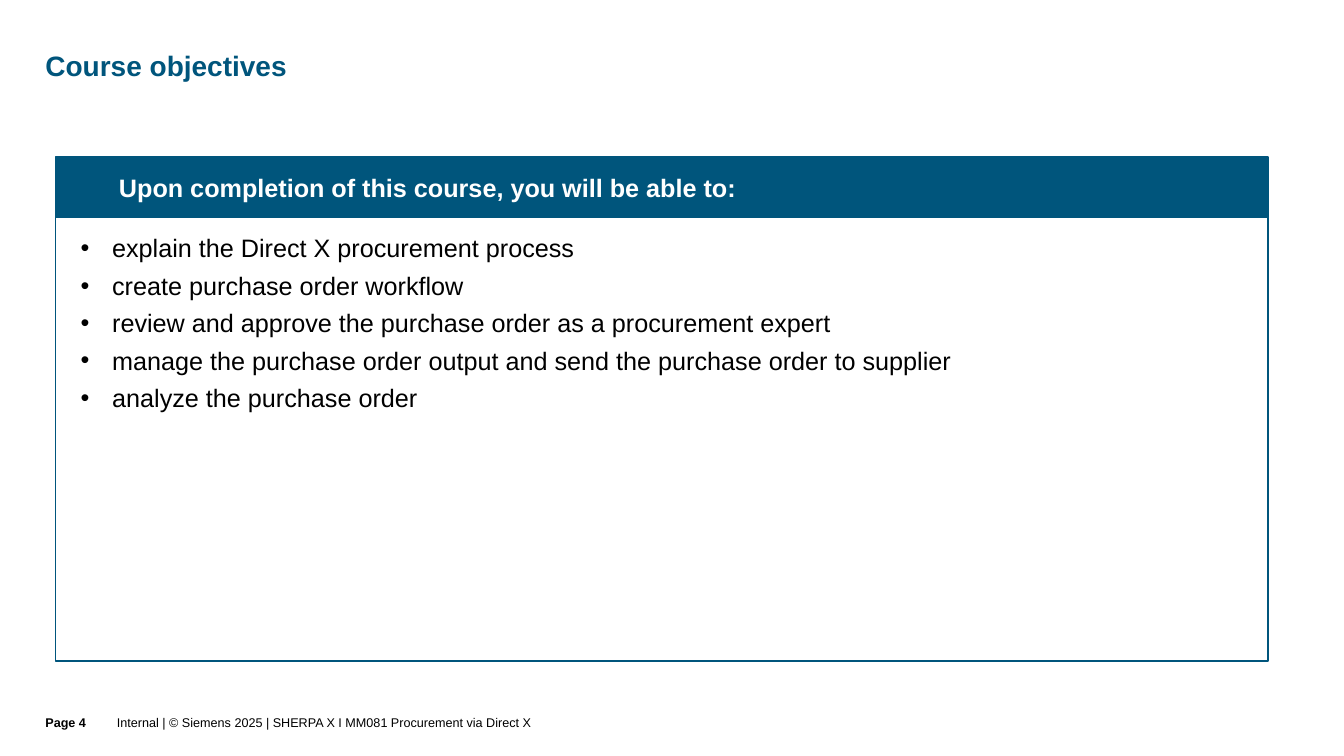
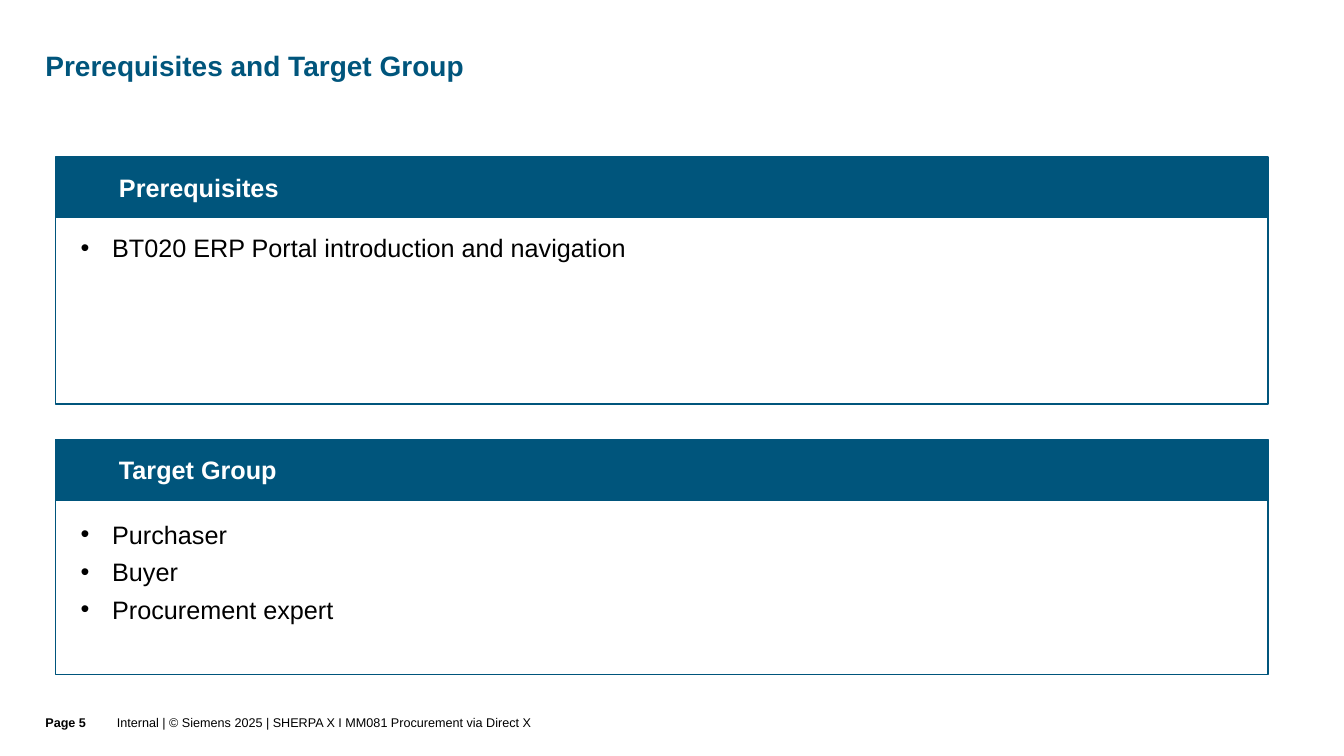
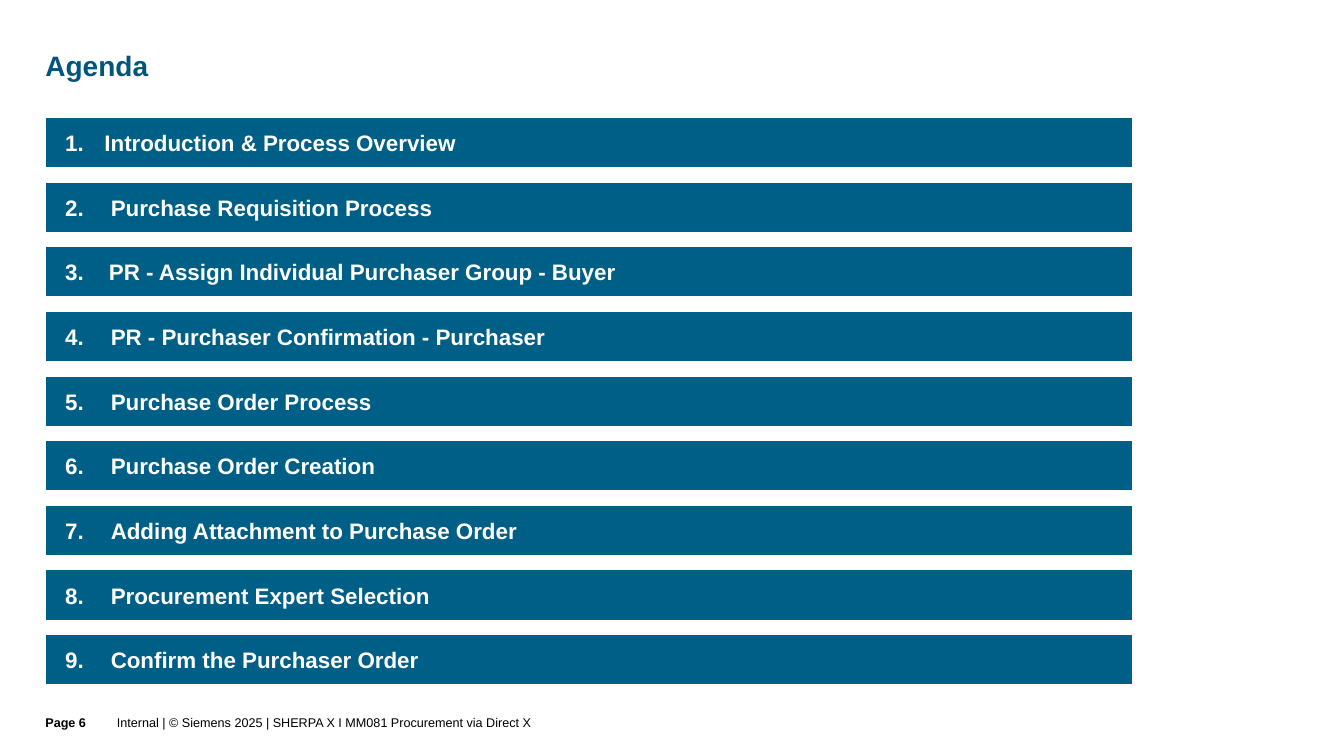
"""Build the course objectives, target group and agenda slides."""
import dataclasses
import typing

import lxml.etree
import pptx
import pptx.dml.color
import pptx.enum.shapes
import pptx.enum.text
import pptx.oxml.ns
import pptx.shapes.autoshape
import pptx.slide
import pptx.text.text
import pptx.util

FONT = "Arial"
PETROL = "00557C"
BAR_PETROL = "005F87"
WHITE = "FFFFFF"
BLACK = "000000"
FOOTER = "Internal | © Siemens 2025 | SHERPA X I MM081 Procurement via Direct X"

MARGIN = 32.4
CONTENT_WIDTH = 776.9
PANEL_LEFT = 39.6
PANEL_WIDTH = 866.2
BAND_HEIGHT = 43.2
BULLET_INDENT = 22.5
BAR_TOP = 83.5
BAR_HEIGHT = 36.7
BAR_PITCH = 46.17


class Box(typing.NamedTuple):
    left: float
    top: float
    width: float
    height: float


class Insets(typing.NamedTuple):
    left: float = 0
    top: float = 0
    right: float = 0
    bottom: float = 0


class Style(typing.NamedTuple):
    size: float
    color: str
    bold: bool = False


TITLE = Style(20, PETROL, True)
HEADING = Style(18, WHITE, True)
BULLET = Style(18, BLACK)
AGENDA = Style(16, WHITE, True)
PAGE = Style(9, BLACK, True)
NOTE = Style(9, BLACK)


@dataclasses.dataclass(frozen=True)
class Panel:
    heading: str
    bullets: tuple[str, ...]
    top: float
    body_height: float
    bullet_offset: float = 8.6


@dataclasses.dataclass(frozen=True)
class Topic:
    name: str
    indent: float = 32.5


OBJECTIVES = Panel(
    "Upon completion of this course, you will be able to:",
    (
        "explain the Direct X procurement process",
        "create purchase order workflow",
        "review and approve the purchase order as a procurement expert",
        "manage the purchase order output and send the purchase order to supplier",
        "analyze the purchase order",
    ),
    112.3,
    316.8,
)
PREREQUISITES = Panel(
    "Prerequisites", ("BT020 ERP Portal introduction and navigation",), 112.3, 133.2
)
TARGET_GROUP = Panel(
    "Target Group", ("Purchaser", "Buyer", "Procurement expert"), 313.9, 124.6, 11.5
)
TOPICS = (
    Topic("Introduction & Process Overview", 28),
    Topic("Purchase Requisition Process"),
    Topic("PR - Assign Individual Purchaser Group - Buyer", 31.2),
    Topic("PR - Purchaser Confirmation - Purchaser"),
    Topic("Purchase Order Process"),
    Topic("Purchase Order Creation"),
    Topic("Adding Attachment to Purchase Order"),
    Topic("Procurement Expert Selection"),
    Topic("Confirm the Purchaser Order"),
)


def rgb(color: str) -> pptx.dml.color.RGBColor:
    return pptx.dml.color.RGBColor.from_string(color)


def place(box: Box) -> list[pptx.util.Length]:
    return [pptx.util.Pt(length) for length in box]


def set_frame(frame: pptx.text.text.TextFrame, insets: Insets, middle: bool) -> None:
    anchors = pptx.enum.text.MSO_ANCHOR
    frame.word_wrap = True
    frame.vertical_anchor = anchors.MIDDLE if middle else anchors.TOP
    frame.margin_left, frame.margin_top, frame.margin_right, frame.margin_bottom = (
        pptx.util.Pt(inset) for inset in insets
    )


def add_run(paragraph: pptx.text.text._Paragraph, text: str, style: Style) -> None:
    run = paragraph.add_run()
    run.text = text
    run.font.name = FONT
    run.font.size = pptx.util.Pt(style.size)
    run.font.bold = style.bold
    run.font.color.rgb = rgb(style.color)


def hang(paragraph: pptx.text.text._Paragraph, indent: float) -> lxml.etree._Element:
    properties = paragraph._p.get_or_add_pPr()
    distance = pptx.util.Pt(indent)
    properties.set("marL", str(distance))
    properties.set("indent", str(-distance))
    return properties


def add_text(
    slide: pptx.slide.Slide,
    box: Box,
    text: str,
    style: Style,
    insets: Insets = Insets(),
    middle: bool = False,
) -> pptx.text.text._Paragraph:
    frame = slide.shapes.add_textbox(*place(box)).text_frame
    set_frame(frame, insets, middle)
    paragraph = frame.paragraphs[0]
    add_run(paragraph, text, style)
    return paragraph


def add_rectangle(
    slide: pptx.slide.Slide, box: Box, fill: str | None, line: str, line_width: float
) -> pptx.shapes.autoshape.Shape:
    rectangle = slide.shapes.add_shape(
        pptx.enum.shapes.MSO_SHAPE.RECTANGLE, *place(box)
    )
    rectangle.shadow.inherit = False
    if fill is None:
        rectangle.fill.background()
    else:
        rectangle.fill.solid()
        rectangle.fill.fore_color.rgb = rgb(fill)
    rectangle.line.color.rgb = rgb(line)
    rectangle.line.width = pptx.util.Pt(line_width)
    return rectangle


def add_bullets(slide: pptx.slide.Slide, box: Box, bullets: tuple[str, ...]) -> None:
    frame = slide.shapes.add_textbox(*place(box)).text_frame
    set_frame(frame, Insets(), False)
    for index, bullet in enumerate(bullets):
        paragraph = frame.add_paragraph() if index else frame.paragraphs[0]
        properties = hang(paragraph, BULLET_INDENT)
        qn = pptx.oxml.ns.qn
        lxml.etree.SubElement(properties, qn("a:buFont"), typeface=FONT)
        lxml.etree.SubElement(properties, qn("a:buChar"), char="•")
        paragraph.line_spacing = 1.1
        paragraph.space_after = pptx.util.Pt(3)
        add_run(paragraph, bullet, BULLET)


def add_panel(slide: pptx.slide.Slide, panel: Panel) -> None:
    body_top = panel.top + BAND_HEIGHT
    band = Box(PANEL_LEFT, panel.top, PANEL_WIDTH, BAND_HEIGHT)
    body = Box(PANEL_LEFT, body_top, PANEL_WIDTH, panel.body_height)
    add_rectangle(slide, band, PETROL, PETROL, 1)
    add_rectangle(slide, body, None, PETROL, 1)
    add_text(slide, Box(85, panel.top + 10.8, 535.7, 21.6), panel.heading, HEADING)
    bullets_top = body_top + panel.bullet_offset
    bullets_height = panel.body_height - panel.bullet_offset
    add_bullets(slide, Box(57.6, bullets_top, 687.6, bullets_height), panel.bullets)


def add_topic(slide: pptx.slide.Slide, number: int, topic: Topic) -> None:
    top = BAR_TOP + (number - 1) * BAR_PITCH
    bar = add_rectangle(
        slide, Box(MARGIN, top, CONTENT_WIDTH, BAR_HEIGHT), BAR_PETROL, WHITE, 1.5
    )
    set_frame(bar.text_frame, Insets(14.2, 3.6, 0, 3.6), True)
    paragraph = bar.text_frame.paragraphs[0]
    properties = hang(paragraph, topic.indent)
    qn = pptx.oxml.ns.qn
    tabs = lxml.etree.SubElement(properties, qn("a:tabLst"))
    stop = str(pptx.util.Pt(topic.indent))
    lxml.etree.SubElement(tabs, qn("a:tab"), pos=stop, algn="l")
    paragraph.alignment = pptx.enum.text.PP_ALIGN.LEFT
    add_run(paragraph, f"{number}.\t{topic.name}", AGENDA)


def add_slide(
    deck: pptx.presentation.Presentation, title: str, page: int
) -> pptx.slide.Slide:
    slide = deck.slides.add_slide(deck.slide_layouts[6])
    title_box = Box(MARGIN, 37.4, CONTENT_WIDTH, 45.4)
    heading = add_text(slide, title_box, title, TITLE, Insets(right=25.2, bottom=1.4))
    heading.line_spacing = 0.9
    footer_insets = Insets(bottom=5)
    page_box = Box(MARGIN, 496.8, 51.1, 43.2)
    note_box = Box(83.5, 496.8, 725.8, 43.2)
    add_text(slide, page_box, f"Page {page}", PAGE, footer_insets, True)
    add_text(slide, note_box, FOOTER, NOTE, footer_insets, True)
    return slide


def main() -> None:
    deck = pptx.Presentation()
    deck.slide_width = pptx.util.Pt(960)
    deck.slide_height = pptx.util.Pt(540)

    objectives = add_slide(deck, "Course objectives", 4)
    add_panel(objectives, OBJECTIVES)

    audience = add_slide(deck, "Prerequisites and Target Group", 5)
    for panel in (PREREQUISITES, TARGET_GROUP):
        add_panel(audience, panel)

    agenda = add_slide(deck, "Agenda", 6)
    for number, topic in enumerate(TOPICS, start=1):
        add_topic(agenda, number, topic)

    deck.save("out.pptx")


if __name__ == "__main__":
    main()
